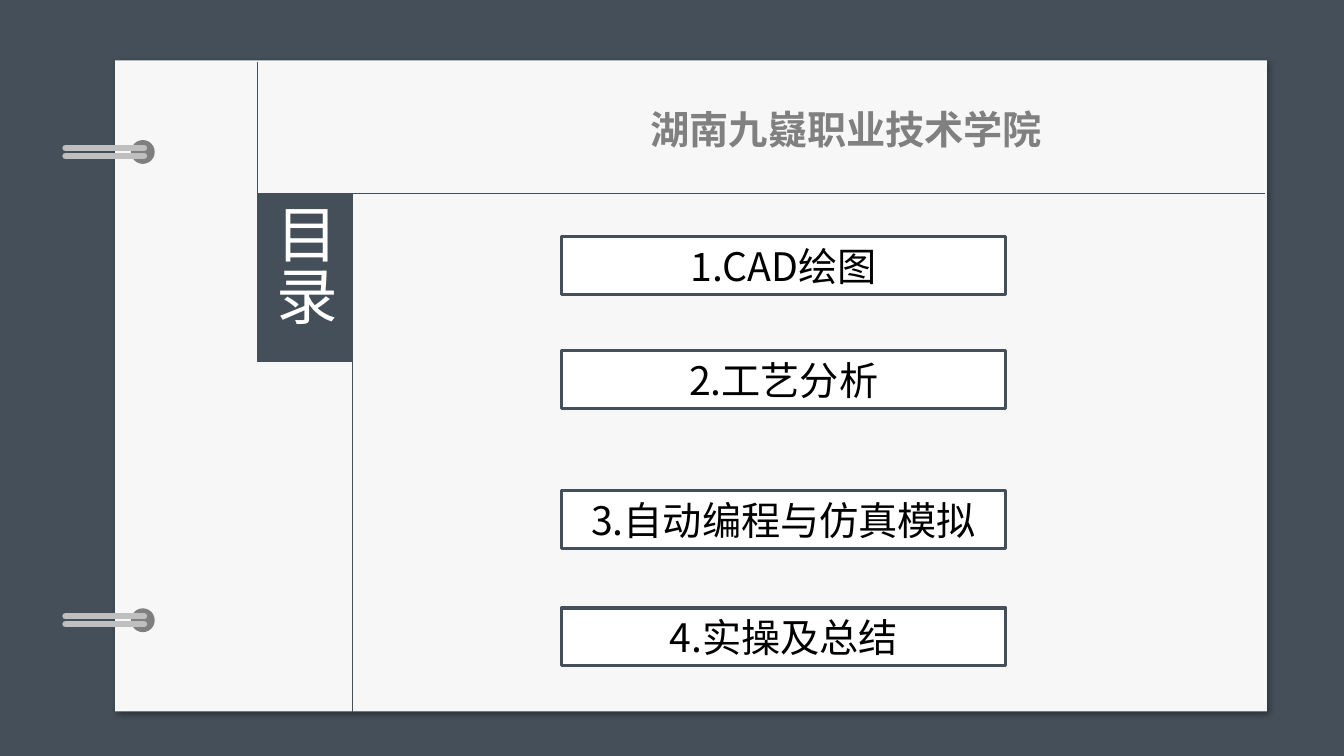
from dataclasses import dataclass

from lxml import etree
from pptx import Presentation
from pptx.dml.color import RGBColor
from pptx.enum.shapes import MSO_CONNECTOR, MSO_SHAPE
from pptx.enum.text import MSO_ANCHOR, PP_ALIGN
from pptx.oxml import parse_xml
from pptx.oxml.ns import nsdecls, qn
from pptx.util import Cm, Pt

RECTANGLE, OVAL = MSO_SHAPE.RECTANGLE, MSO_SHAPE.OVAL
STRAIGHT = MSO_CONNECTOR.STRAIGHT
MIDDLE = MSO_ANCHOR.MIDDLE
CENTER, LEFT = PP_ALIGN.CENTER, PP_ALIGN.LEFT


@dataclass(frozen=True)
class Theme:
    font: str = "Noto Sans CJK JP"
    slate: RGBColor = RGBColor(0x45, 0x4F, 0x59)
    paper: RGBColor = RGBColor(0xF7, 0xF7, 0xF7)
    white: RGBColor = RGBColor(0xFF, 0xFF, 0xFF)
    black: RGBColor = RGBColor(0, 0, 0)
    hole: RGBColor = RGBColor(0x7F, 0x7F, 0x7F)
    ring: RGBColor = RGBColor(0xBF, 0xBF, 0xBF)
    school: RGBColor = RGBColor(0x80, 0x80, 0x80)
    tab_size: Pt = Pt(44)
    text_size: Pt = Pt(28)
    thin: Pt = Pt(0.75)
    border: Pt = Pt(2.25)
    wire: Pt = Pt(4.5)


THEME = Theme()

# Page, in centimetres
PAGE_LEFT, PAGE_TOP, PAGE_WIDTH, PAGE_HEIGHT = 2.9, 1.52, 29.03, 16.41
TAB_LEFT, TAB_TOP, TAB_WIDTH, TAB_HEIGHT = 6.49, 4.88, 2.4, 4.24
RING_CENTERS = (3.83, 15.63)
TOPICS = (
    ("1.CAD绘图", 5.97),
    ("2.工艺分析", 8.84),
    ("3.自动编程与仿真模拟", 12.37),
    ("4.实操及总结", 15.32),
)


def add_block(slide, kind, left, top, width, height, fill, border=None):
    shape = slide.shapes.add_shape(kind, Cm(left), Cm(top), Cm(width), Cm(height))
    shape.shadow.inherit = False
    shape.fill.solid()
    shape.fill.fore_color.rgb = fill
    if border is None:
        shape.line.fill.background()
    else:
        shape.line.color.rgb = border
        shape.line.width = THEME.border
        etree.SubElement(shape.line._get_or_add_ln(), qn("a:round"))
    return shape


def add_line(slide, x1, y1, x2, y2, color, width, round_cap=False):
    line = slide.shapes.add_connector(STRAIGHT, Cm(x1), Cm(y1), Cm(x2), Cm(y2))
    line.line.color.rgb = color
    line.line.width = width
    if round_cap:
        line.line._get_or_add_ln().set("cap", "rnd")
    etree.SubElement(line._element.spPr, qn("a:effectLst"))


def write_text(shape, text, size, color, alignment=CENTER, bold=False):
    frame = shape.text_frame
    frame.word_wrap = True
    frame.vertical_anchor = MIDDLE
    paragraph = frame.paragraphs[0]
    paragraph.text = text
    paragraph.alignment = alignment
    font = paragraph.font
    font.name, font.size, font.bold = THEME.font, size, bold
    font.color.rgb = color
    east_asian = etree.SubElement(font._element, qn("a:ea"))
    east_asian.set("typeface", THEME.font)


def add_page(slide):
    page = add_block(slide, RECTANGLE, PAGE_LEFT, PAGE_TOP, PAGE_WIDTH, PAGE_HEIGHT,
                     THEME.paper)
    effects = page._element.spPr.find(qn("a:effectLst"))
    effects.append(parse_xml(
        f'<a:outerShdw {nsdecls("a")} blurRad="50800" dist="38100" dir="2700000" '
        'algn="tl" rotWithShape="0"><a:srgbClr val="000000">'
        '<a:alpha val="40000"/></a:srgbClr></a:outerShdw>'))


def add_binder_ring(slide, center):
    add_block(slide, OVAL, 3.3, center - 0.3, 0.6, 0.6, THEME.hole)
    for y in (center - 0.1, center + 0.1):
        add_line(slide, 1.65, y, 3.63, y, THEME.ring, THEME.wire, round_cap=True)


def add_tab(slide):
    tab_right = TAB_LEFT + TAB_WIDTH
    add_line(slide, TAB_LEFT, 1.57, TAB_LEFT, TAB_TOP + TAB_HEIGHT,
             THEME.slate, THEME.thin)
    tab = add_block(slide, RECTANGLE, TAB_LEFT, TAB_TOP, TAB_WIDTH, TAB_HEIGHT,
                    THEME.slate)
    write_text(tab, "目录", THEME.tab_size, THEME.white)
    tab.text_frame._txBody.bodyPr.set("vert", "eaVert")
    add_line(slide, TAB_LEFT, TAB_TOP, 31.88, TAB_TOP, THEME.slate, THEME.thin)
    add_line(slide, tab_right, TAB_TOP, tab_right, PAGE_TOP + PAGE_HEIGHT,
             THEME.slate, THEME.thin)


def add_topic(slide, text, top):
    box = add_block(slide, RECTANGLE, 14.15, top, 11.2, 1.45, THEME.white, THEME.slate)
    write_text(box, text, THEME.text_size, THEME.black)


def add_school_name(slide):
    box = slide.shapes.add_textbox(Cm(16.15), Cm(2.51), Cm(11.15), Cm(1.45))
    write_text(box, "湖南九嶷职业技术学院", THEME.text_size, THEME.school, LEFT, bold=True)


def main():
    presentation = Presentation()
    presentation.slide_width, presentation.slide_height = Cm(33.87), Cm(19.05)
    slide = presentation.slides.add_slide(presentation.slide_layouts[6])
    slide.background.fill.solid()
    slide.background.fill.fore_color.rgb = THEME.slate

    # Notebook page with its rings
    add_page(slide)
    for center in RING_CENTERS:
        add_binder_ring(slide, center)

    # Contents tab, topics and heading
    add_tab(slide)
    for text, top in TOPICS:
        add_topic(slide, text, top)
    add_school_name(slide)

    presentation.save("out.pptx")


if __name__ == "__main__":
    main()
